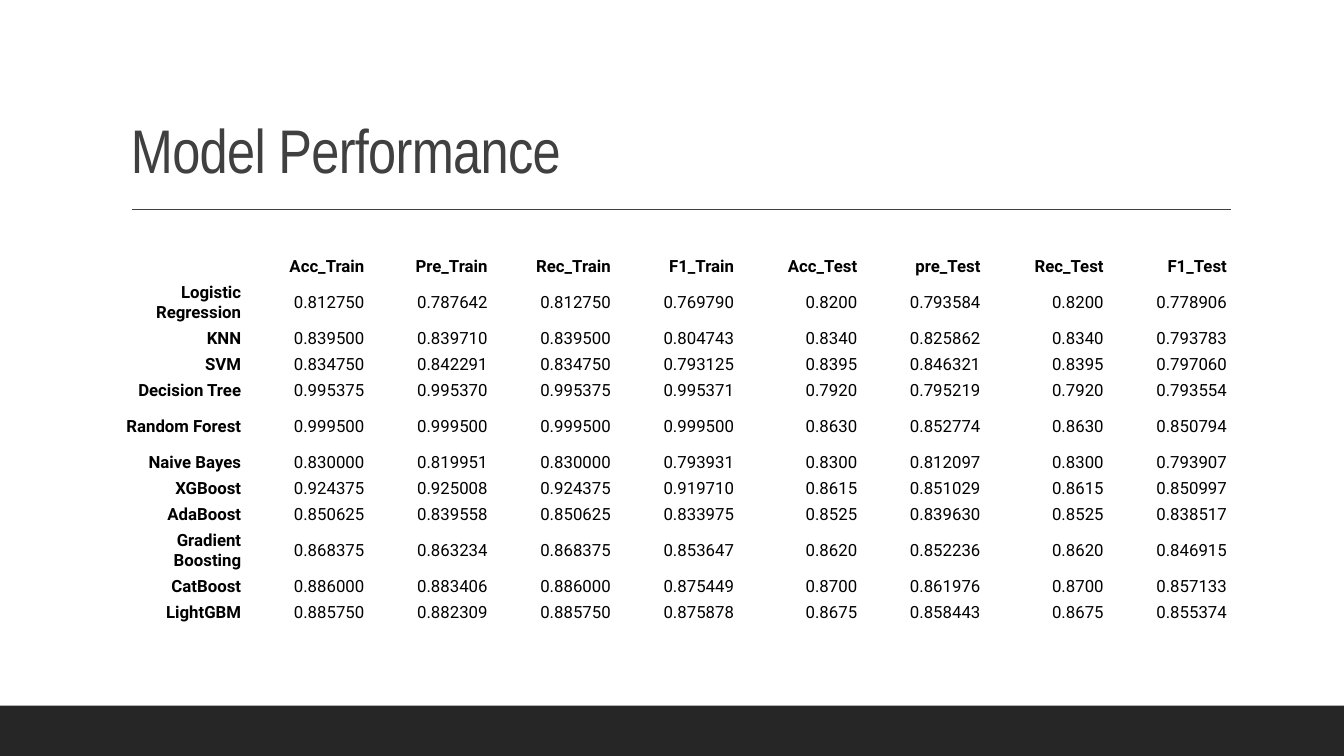
from lxml.etree import SubElement
from pptx import Presentation
from pptx.dml.color import RGBColor
from pptx.enum.shapes import MSO_CONNECTOR, MSO_SHAPE
from pptx.enum.text import MSO_ANCHOR, PP_ALIGN
from pptx.oxml.ns import qn
from pptx.util import Inches, Pt

TITLE = "Model Performance"
METRICS = ["Acc_Train", "Pre_Train", "Rec_Train", "F1_Train",
           "Acc_Test", "pre_Test", "Rec_Test", "F1_Test"]
SCORES = {
    "Logistic Regression": ["0.812750", "0.787642", "0.812750", "0.769790",
                            "0.8200", "0.793584", "0.8200", "0.778906"],
    "KNN": ["0.839500", "0.839710", "0.839500", "0.804743",
            "0.8340", "0.825862", "0.8340", "0.793783"],
    "SVM": ["0.834750", "0.842291", "0.834750", "0.793125",
            "0.8395", "0.846321", "0.8395", "0.797060"],
    "Decision Tree": ["0.995375", "0.995370", "0.995375", "0.995371",
                      "0.7920", "0.795219", "0.7920", "0.793554"],
    "Random Forest": ["0.999500", "0.999500", "0.999500", "0.999500",
                      "0.8630", "0.852774", "0.8630", "0.850794"],
    "Naive Bayes": ["0.830000", "0.819951", "0.830000", "0.793931",
                    "0.8300", "0.812097", "0.8300", "0.793907"],
    "XGBoost": ["0.924375", "0.925008", "0.924375", "0.919710",
                "0.8615", "0.851029", "0.8615", "0.850997"],
    "AdaBoost": ["0.850625", "0.839558", "0.850625", "0.833975",
                 "0.8525", "0.839630", "0.8525", "0.838517"],
    "Gradient Boosting": ["0.868375", "0.863234", "0.868375", "0.853647",
                          "0.8620", "0.852236", "0.8620", "0.846915"],
    "CatBoost": ["0.886000", "0.883406", "0.886000", "0.875449",
                 "0.8700", "0.861976", "0.8700", "0.857133"],
    "LightGBM": ["0.885750", "0.882309", "0.885750", "0.875878",
                 "0.8675", "0.858443", "0.8675", "0.855374"],
}
TALL_ROWS = {"Logistic Regression", "Random Forest", "Gradient Boosting"}
ROW_HEIGHT, TALL_HEIGHT = 0.26, 0.45
SLIDE_WIDTH, SLIDE_HEIGHT, FOOTER_HEIGHT = 13.33, 7.5, 0.5
LEFT, CONTENT_WIDTH = 1.2, 11
WHITE, BLACK, GREY, CHARCOAL = "FFFFFF", "000000", "404040", "262626"


def color(hex_code):
    return RGBColor.from_string(hex_code)


def add_band(slide, top, height, fill):
    """Add a full-width rectangle without outline."""
    band = slide.shapes.add_shape(MSO_SHAPE.RECTANGLE, 0, Inches(top),
                                  Inches(SLIDE_WIDTH), Inches(height))
    band.shadow.inherit = False
    band.fill.solid()
    band.fill.fore_color.rgb = color(fill)
    band.line.fill.background()


def add_run(paragraph, text, font_name, size, hex_code, bold=False):
    run = paragraph.add_run()
    run.text = text
    run.font.name = font_name
    run.font.size = Pt(size)
    run.font.bold = bold
    run.font.color.rgb = color(hex_code)
    return run


def add_title(slide):
    box = slide.shapes.add_textbox(Inches(LEFT), Inches(0.31),
                                   Inches(CONTENT_WIDTH), Inches(1.59))
    frame = box.text_frame
    frame.word_wrap = True
    frame.vertical_anchor = MSO_ANCHOR.BOTTOM
    paragraph = frame.paragraphs[0]
    paragraph.line_spacing = 0.9
    run = add_run(paragraph, TITLE, "Arial Narrow", 44, GREY)
    run.font._element.set("spc", "-50")


def add_rule(slide):
    rule = slide.shapes.add_connector(MSO_CONNECTOR.STRAIGHT, Inches(1.31),
                                      Inches(2.08), Inches(12.21), Inches(2.08))
    rule.line.color.rgb = color(GREY)
    rule.line.width = Pt(1)
    SubElement(rule._element.spPr, qn("a:effectLst"))


def fill_cell(cell, text, bold):
    cell.fill.solid()
    cell.fill.fore_color.rgb = color(WHITE)
    cell.vertical_anchor = MSO_ANCHOR.MIDDLE
    cell.margin_left = cell.margin_right = Inches(0.03)
    cell.margin_top = cell.margin_bottom = Inches(0.02)
    paragraph = cell.text_frame.paragraphs[0]
    paragraph.alignment = PP_ALIGN.RIGHT
    if text:
        add_run(paragraph, text, "Roboto", 12, BLACK, bold)
    else:
        # Keeps the empty corner from stretching its row
        SubElement(paragraph._p, qn("a:endParaRPr")).set("sz", "1200")


def add_scores(slide):
    rows = [["", *METRICS]] + [[model, *scores] for model, scores in SCORES.items()]
    heights = [TALL_HEIGHT if row[0] in TALL_ROWS else ROW_HEIGHT for row in rows]
    columns = len(rows[0])
    table = slide.shapes.add_table(len(rows), columns, Inches(LEFT), Inches(2.52),
                                   Inches(CONTENT_WIDTH), Inches(sum(heights))).table
    table.first_row = table.horz_banding = False
    for column in table.columns:
        column.width = Inches(CONTENT_WIDTH / columns)
    for r, (row, height) in enumerate(zip(rows, heights)):
        table.rows[r].height = Inches(height)
        for c, text in enumerate(row):
            fill_cell(table.cell(r, c), text, bold=r == 0 or c == 0)


def main():
    deck = Presentation()
    deck.slide_width = Inches(SLIDE_WIDTH)
    deck.slide_height = Inches(SLIDE_HEIGHT)
    slide = deck.slides.add_slide(deck.slide_layouts[6])
    add_band(slide, 0, SLIDE_HEIGHT, WHITE)
    add_title(slide)
    add_rule(slide)
    add_band(slide, SLIDE_HEIGHT - FOOTER_HEIGHT, FOOTER_HEIGHT, CHARCOAL)
    add_scores(slide)
    deck.save("out.pptx")


if __name__ == "__main__":
    main()
